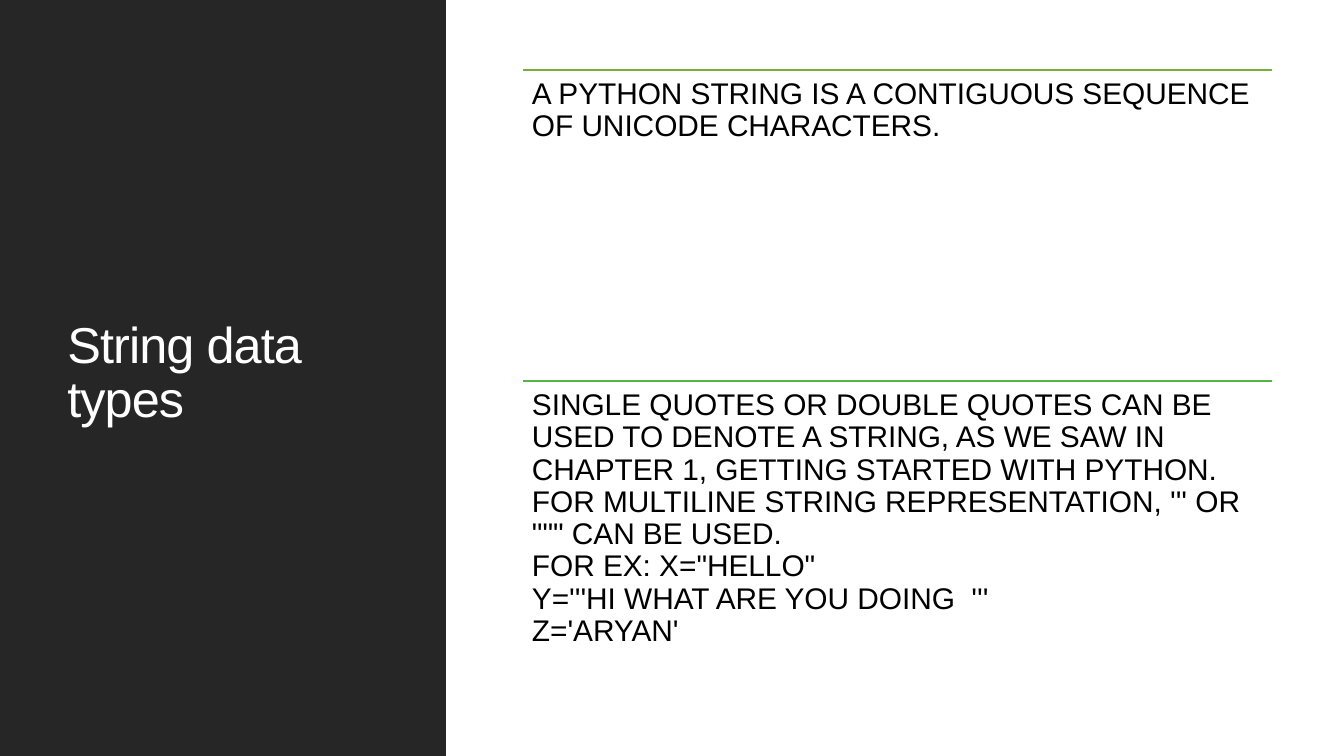
"""Build the slide on string data types."""
from copy import deepcopy
from dataclasses import dataclass

from lxml import etree
from pptx import Presentation
from pptx.dml.color import RGBColor
from pptx.enum.shapes import MSO_CONNECTOR, MSO_SHAPE
from pptx.enum.text import MSO_ANCHOR, MSO_AUTO_SIZE, PP_ALIGN
from pptx.oxml.ns import qn
from pptx.util import Emu, Pt

LINE = MSO_CONNECTOR.STRAIGHT
RECT = MSO_SHAPE.RECTANGLE
TOP, MIDDLE = MSO_ANCHOR.TOP, MSO_ANCHOR.MIDDLE
FIXED = MSO_AUTO_SIZE.NONE
LEFT = PP_ALIGN.LEFT
SCALE = 914400 / 134.4
WIDE, HIGH = 1344, 756


@dataclass(frozen=True)
class Theme:
    """Colours, font and sizes of the slide."""

    panel: str = "262626"
    light: str = "FFFFFF"
    dark: str = "000000"
    face: str = "Arial"
    head: int = 27
    body: int = 16
    rule: float = 1.25


@dataclass(frozen=True)
class Box:
    """A place on the slide in px."""

    x: int
    y: int
    w: int
    h: int

    def emu(self) -> list[Emu]:
        """Return left, top, width and height in EMU."""
        return [px(n) for n in (self.x, self.y, self.w, self.h)]


@dataclass(frozen=True)
class Point:
    """A ruled block of text."""

    tint: str
    text: str


THEME = Theme()
FIRST = Box(523, 70, 749, 311)
POINTS = [
    Point("76B03A", "A PYTHON STRING IS A CONTIGUOUS SEQUENCE OF UNICODE CHARACTERS."),
    Point("52B647", """SINGLE QUOTES OR DOUBLE QUOTES CAN BE USED TO DENOTE A STRING, \
AS WE SAW IN CHAPTER 1, GETTING STARTED WITH PYTHON.
FOR MULTILINE STRING REPRESENTATION, ''' OR \"\"\" CAN BE USED.
FOR EX: X="HELLO"
Y='''HI WHAT ARE YOU DOING  '''
Z='ARYAN'"""),
]


def px(n: int) -> Emu:
    """Turn px into EMU."""
    return Emu(round(n * SCALE))


def write(shape, text: str, *, size: int, tint: str, anchor=TOP,
          pad: int | None = None, track: int = 0) -> None:
    """Fill a shape with one formatted paragraph."""
    frame = shape.text_frame
    frame.word_wrap = True
    frame.auto_size = FIXED
    frame.vertical_anchor = anchor
    if pad is not None:
        frame.margin_left = frame.margin_right = px(pad)
        frame.margin_top = frame.margin_bottom = px(pad)
    para = frame.paragraphs[0]
    para.text = text
    para.alignment = LEFT
    para.line_spacing = 0.9
    for run in para.runs:
        run.font.name = THEME.face
        run.font.size = Pt(size)
        run.font.color.rgb = RGBColor.from_string(tint)
        if track:
            run._r.get_or_add_rPr().set("spc", str(track))
    for gap in para._p.findall(qn("a:br")):
        gap.insert(0, deepcopy(para.runs[0]._r.rPr))


def panel(slide, box: Box, tint: str):
    """Draw a plain filled block."""
    shape = slide.shapes.add_shape(RECT, *box.emu())
    shape.shadow.inherit = False
    shape.fill.solid()
    shape.fill.fore_color.rgb = RGBColor.from_string(tint)
    shape.line.fill.background()
    return shape


def rule(slide, box: Box, tint: str) -> None:
    """Draw a line along the top of a box."""
    left, top, wide, _ = box.emu()
    line = slide.shapes.add_connector(LINE, left, top, left + wide, top)
    line.line.color.rgb = RGBColor.from_string(tint)
    line.line.width = Pt(THEME.rule)
    etree.SubElement(line._element.spPr, qn("a:effectLst"))


def block(slide, box: Box, point: Point) -> None:
    """Draw a rule with its text below."""
    rule(slide, box, point.tint)
    shape = slide.shapes.add_textbox(*box.emu())
    write(shape, point.text, size=THEME.body, tint=THEME.dark, pad=9)


def main() -> None:
    """Build and save the slide."""
    deck = Presentation()
    deck.slide_width, deck.slide_height = px(WIDE), px(HIGH)
    slide = deck.slides.add_slide(deck.slide_layouts[5])
    side = panel(slide, Box(0, 0, 446, HIGH), THEME.panel)
    title = slide.shapes.title
    title.left, title.top, title.width, title.height = Box(54, 56, 340, 636).emu()
    write(title, "String data types", size=THEME.head, tint=THEME.light,
          anchor=MIDDLE, track=-50)
    side._element.addnext(title._element)
    for i, point in enumerate(POINTS):
        block(slide, Box(FIRST.x, FIRST.y + i * FIRST.h, FIRST.w, FIRST.h), point)
    deck.save("out.pptx")


if __name__ == "__main__":
    main()
